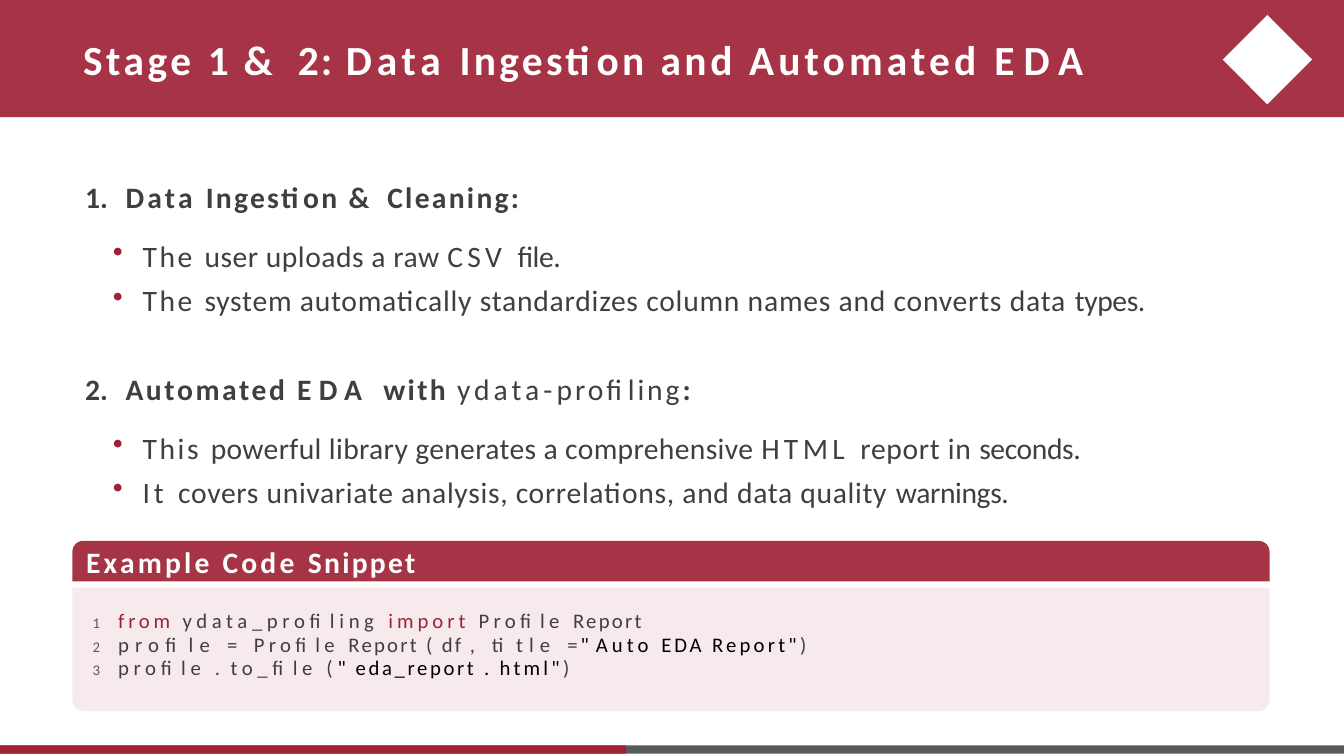
from lxml.etree import SubElement
from pptx import Presentation
from pptx.dml.color import RGBColor
from pptx.enum.shapes import MSO_SHAPE
from pptx.enum.text import MSO_ANCHOR, MSO_AUTO_SIZE, PP_ALIGN
from pptx.oxml.ns import qn
from pptx.util import Inches, Pt

FONT = "Calibri"
BAND, ACCENT, PALE = "A63446", "A02237", "F6EAEC"
WHITE, BLACK, INK, GREY = "FFFFFF", "000000", "3F3F3F", "58595A"
WIDTH, HEIGHT = 6.31, 3.55

TITLE = [("Stage ", 1.2), ("1 ", 0.9), ("& ", 2.6), ("2: ", 0.7), ("Data ", 1.6),
         ("Ingestion ", 1.1), ("and ", 1.2), ("Automated ", 1.4), ("EDA", 3.1)]

SECTIONS = [
    ([("Data ", 1.1, True), ("Ingestion ", 0.8, True), ("& ", 1.9, True),
      ("Cleaning:", 0.8, True)],
     [[("The ", 0.9), ("user uploads a raw ", 0.2), ("CSV ", 1.5), ("file.", -0.1)],
      [("The ", 0.9),
       ("system automatically standardizes column names and converts data ", 0.27),
       ("types.", -0.1)]]),
    ([("Automated ", 0.9, True), ("EDA ", 2.5, True), ("with ", 0.8, True),
      ("ydata-", 1.4, False), ("profiling", 1, False), (":", 1, True)],
     [[("This ", 0.9), ("powerful library generates a comprehensive ", 0.14),
       ("HTML ", 1.5), ("report in ", 0.25), ("seconds.", -0.1)],
      [("It ", 1.3),
       ("covers univariate analysis, correlations, and data quality ", 0.25),
       ("warnings.", -0.1)]]),
]

CODE = [
    [("from ", 1.3, ACCENT), ("ydata_profiling ", 1.6, INK), ("import ", 1.4, ACCENT),
     ("Profile ", 1.5, INK), ("Report", 0.8, INK)],
    [("profile ", 2.1, INK), ("= ", 2, INK), ("Profile ", 1.5, INK), ("Report ", 0.8, INK),
     ("( ", 0.8, INK), ("df ", 0.7, INK), (", title ", 2.1, INK), ("=", 1, INK),
     ('" ', 0.4, BLACK), ("Auto ", 1.4, BLACK), ("EDA ", 1, BLACK),
     ('Report"', 1.1, BLACK), (")", 1.1, INK)],
    [("profile ", 1.6, INK), (". ", 1, INK), ("to_file (", 1.6, INK), ('" ', 0.9, BLACK),
     ("eda_report ", 0.9, BLACK), (". ", 1, BLACK), ('html"', 1.1, BLACK),
     (")", 1.1, INK)],
]


def colour(value):
    """Turn a hex string into a colour."""
    return RGBColor.from_string(value)


def add_span(para, text, size, shade, tracking=0, bold=False):
    """Add one formatted run with letter spacing in points."""
    span = para.add_run()
    span.text = text
    span.font.name, span.font.size, span.font.bold = FONT, Pt(size), bold
    span.font.color.rgb = colour(shade)
    span.font._element.set("spc", str(round(tracking * 100)))


def add_block(page, kind, left, top, width, height, fill):
    """Add a plain filled shape."""
    block = page.shapes.add_shape(kind, Inches(left), Inches(top),
                                  Inches(width), Inches(height))
    block.shadow.inherit = False
    block.fill.solid()
    block.fill.fore_color.rgb = colour(fill)
    block.line.fill.background()
    return block


def prepare_text(shape, left=0, top=0):
    """Set insets, wrapping and anchor, and return the text frame."""
    frame = shape.text_frame
    frame.margin_left, frame.margin_top = Inches(left), Inches(top)
    frame.margin_right = frame.margin_bottom = 0
    frame.word_wrap = True
    frame.auto_size = MSO_AUTO_SIZE.NONE
    frame.vertical_anchor = MSO_ANCHOR.TOP
    return frame


def next_paragraph(frame, index):
    """Return the first paragraph or a new one, aligned left."""
    para = frame.add_paragraph() if index else frame.paragraphs[0]
    para.alignment = PP_ALIGN.LEFT
    return para


def set_marker(para, left, hanging, tag, **settings):
    """Give a paragraph a hanging bullet or number."""
    properties = para._p.get_or_add_pPr()
    properties.set("marL", str(Inches(left)))
    properties.set("indent", str(-Inches(hanging)))
    if tag == "a:buChar":
        tint = SubElement(properties, qn("a:buClr"))
        SubElement(tint, qn("a:srgbClr"), val=ACCENT)
    SubElement(properties, qn(tag), **settings)


def add_title(page):
    """Place the title over the top band."""
    title = page.shapes.title
    add_block(page, MSO_SHAPE.RECTANGLE, 0, 0, WIDTH, 0.55, BAND)
    add_block(page, MSO_SHAPE.DIAMOND, 5.74, 0.07, 0.42, 0.42, WHITE)
    title.element.getparent().append(title.element)
    title.left, title.top = Inches(0.39), Inches(0.16)
    title.width, title.height = Inches(5.2), Inches(0.25)
    para = next_paragraph(prepare_text(title), 0)
    for text, tracking in TITLE:
        add_span(para, text, 14, WHITE, tracking, True)


def add_sections(page):
    """Add the numbered headings with their bullets."""
    box = page.shapes.add_textbox(Inches(0.38), Inches(0.84), Inches(5.5), Inches(1.6))
    frame = prepare_text(box)
    for index, (heading, points) in enumerate(SECTIONS):
        para = next_paragraph(frame, index)
        set_marker(para, 0.21, 0.19, "a:buAutoNum", type="arabicPeriod",
                   startAt=str(index + 1))
        if index:
            para.space_before = Pt(17.9)
        for text, tracking, bold in heading:
            add_span(para, text, 10, INK, tracking, bold)
        for order, point in enumerate(points):
            para = next_paragraph(frame, 1)
            para.level = 1
            set_marker(para, 0.29, 0.14, "a:buChar", char="•")
            para.space_before = Pt(3 if order else 7.9)
            for text, tracking in point:
                add_span(para, text, 10, INK, tracking)


def add_snippet(page):
    """Add the code panel with its heading and numbered lines."""
    header = add_block(page, MSO_SHAPE.ROUND_2_SAME_RECTANGLE, 0.34, 2.54, 5.62, 0.19, BAND)
    header.adjustments[0] = 0.26
    para = next_paragraph(prepare_text(header, 0.05), 0)
    add_span(para, "Example Code ", 10, WHITE, 1.1, True)
    add_span(para, "Snippet", 10, WHITE, 0.8, True)

    panel = add_block(page, MSO_SHAPE.ROUND_2_SAME_RECTANGLE, 0.34, 2.76, 5.62, 0.58, PALE)
    panel.adjustments[0], panel.adjustments[1] = 0, 0.09
    frame = prepare_text(panel, 0.08, 0.1)
    for index, line in enumerate(CODE):
        para = next_paragraph(frame, index)
        tabs = SubElement(para._p.get_or_add_pPr(), qn("a:tabLst"))
        SubElement(tabs, qn("a:tab"), pos=str(Inches(0.12)), algn="l")
        para.line_spacing = Pt(8)
        add_span(para, f"{index + 1}\t", 5, GREY)
        for text, tracking, shade in line:
            add_span(para, text, 7, shade, tracking)


def main():
    """Build the slide and save it."""
    deck = Presentation()
    deck.slide_width, deck.slide_height = Inches(WIDTH), Inches(HEIGHT)
    page = deck.slides.add_slide(deck.slide_layouts[5])
    add_title(page)
    add_sections(page)
    add_snippet(page)
    add_block(page, MSO_SHAPE.RECTANGLE, 0, 3.5, WIDTH, 0.04, GREY)
    add_block(page, MSO_SHAPE.RECTANGLE, 0, 3.5, 2.94, 0.04, ACCENT)
    deck.save("out.pptx")


if __name__ == "__main__":
    main()
